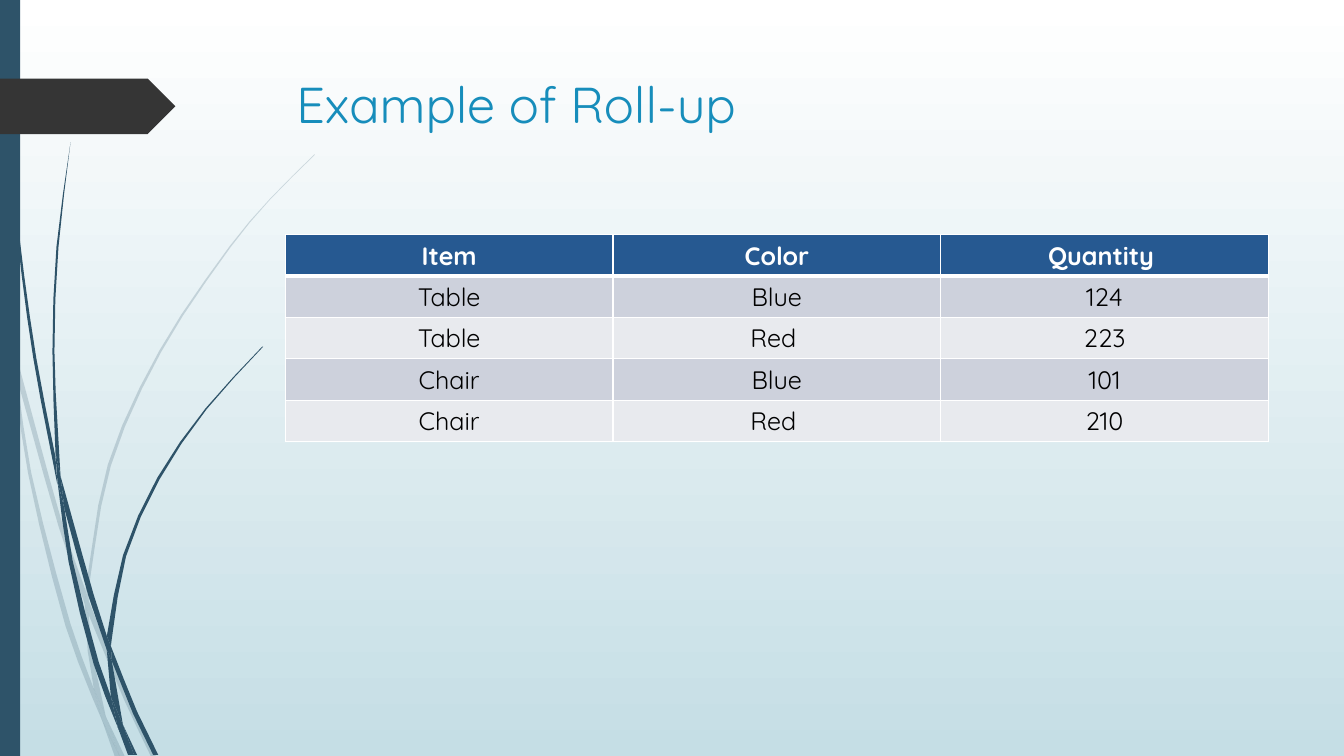
"""Build the roll-up example slide on a grid of 1333 columns by 750 rows."""
from dataclasses import dataclass
from math import ceil, dist

from lxml import etree
from pptx import Presentation
from pptx.dml.color import RGBColor
from pptx.enum.shapes import MSO_SHAPE
from pptx.enum.text import MSO_ANCHOR, PP_ALIGN
from pptx.oxml.ns import qn
from pptx.util import Emu, Inches, Pt

RECTANGLE, PENTAGON = MSO_SHAPE.RECTANGLE, MSO_SHAPE.PENTAGON
LEFT, CENTER, TOP = PP_ALIGN.LEFT, PP_ALIGN.CENTER, MSO_ANCHOR.TOP
COLUMNS, ROWS = 1333, 750
UNIT = Inches(0.01)
LONGEST_STEP = 60

Node = tuple[float, float]
Edge = tuple[Node, ...]


@dataclass(frozen=True)
class Theme:
    font: str = "Quicksand"
    title_size: int = 36
    table_size: int = 18
    sky_top: str = "FFFFFF"
    sky_bottom: str = "C5DEE5"
    grass: str = "2E5369"
    arrow: str = "353535"
    title: str = "178DBB"
    header_fill: str = "265991"
    header_text: str = "FFFFFF"
    body_text: str = "000000"
    bands: tuple[str, str] = ("CDD1DC", "E8EAEE")
    rule: str = "FFFFFF"
    thin: int = 1
    thick: int = 3
    faint_percent: int = 20


@dataclass(frozen=True)
class Area:
    column: int
    row: int
    columns: int
    rows: int

    def emu(self) -> tuple[Emu, ...]:
        return tuple(Emu(n * UNIT) for n in (self.column, self.row, self.columns, self.rows))


@dataclass(frozen=True)
class Blade:
    outward: Edge
    back: Edge


THEME = Theme()
SIDEBAR = Area(0, 0, 20, ROWS)
ARROW = Area(0, 78, 174, 55)
TITLE = Area(284, 68, 975, 140)
TABLE = Area(283, 233, 975, 205)
RECORDS = (
    ("Item", "Color", "Quantity "),
    ("Table", "Blue", "124"),
    ("Table", "Red ", "223"),
    ("Chair", "Blue", "101"),
    ("Chair", "Red ", "210"),
)
FAINT_BLADES = (
    Blade(((0, 282), (9, 322), (11, 350)), ((10, 344), (0, 299))),
    Blade(((14, 345), (62, 520), (85, 586)), ((84, 599), (58, 522), (17, 376))),
    Blade(((88, 596), (127, 692), (155, 751)), ((150, 751), (123, 694), (88, 610))),
    Blade(((105, 711), (124, 751)), ((119, 751),)),
    Blade(((11, 350), (28, 470), (65, 621), (92, 693), (101, 714)),
          ((93, 683), (70, 619), (31, 469), (17, 376))),
    Blade(((84, 599), (87, 646), (93, 683), (105, 711)), ((91, 646), (88, 610))),
    Blade(((88, 596), (88, 584), (110, 462), (160, 349), (229, 245), (268, 198), (312, 154)),
          ((312, 153), (268, 197), (228, 244), (158, 348), (107, 461), (85, 584))),
    Blade(((101, 714), (114, 751)), ((119, 751),)),
    Blade(((85, 586), (88, 596), (88, 610)), ((84, 599),)),
    Blade(((93, 683), (101, 714), (119, 751)), ((105, 711),)),
)
DARK_BLADES = (
    Blade(((3, 0), (7, 110), (17, 233), (33, 355), (57, 481)),
          ((55, 453), (36, 355), (19, 232), (8, 109), (4, 0))),
    Blade(((60, 472), (93, 590), (106, 631)), ((106, 645), (88, 592), (64, 505))),
    Blade(((110, 641), (136, 706), (157, 749)), ((152, 749), (132, 708), (111, 656))),
    Blade(((57, 477), (68, 557), (93, 659), (117, 722)),
          ((110, 691), (98, 657), (72, 556), (64, 505))),
    Blade(((60, 472), (54, 349), (58, 245), (70, 141)),
          ((70, 141), (56, 245), (52, 349), (55, 449))),
    Blade(((122, 719), (136, 749)), ((133, 749),)),
    Blade(((55, 449), (60, 472), (64, 505)), ((57, 477),)),
    Blade(((110, 641), (111, 633), (125, 552), (158, 476), (205, 406), (261, 344)),
          ((260, 344), (204, 405), (156, 474), (122, 551), (106, 631))),
    Blade(((117, 722), (127, 749)), ((131, 749),)),
    Blade(((106, 645), (110, 691), (122, 719)), ((111, 656),)),
    Blade(((106, 631), (110, 641), (111, 656)), ((106, 645),)),
    Blade(((110, 691), (117, 722), (130, 749)), ((133, 749), (122, 719))),
)


def smooth(edge: Edge) -> list[Node]:
    """Run a cubic curve through the nodes, with tangents weighted by chord length."""
    tangents = []
    for index in range(len(edge)):
        near = edge[max(index - 1, 0):index + 2]
        length = sum(dist(a, b) for a, b in zip(near, near[1:])) or 1
        tangents.append(tuple((end - start) / length for start, end in zip(near[0], near[-1])))
    points = [edge[0]]
    for index, (start, end) in enumerate(zip(edge, edge[1:])):
        chord = dist(start, end)
        steps = ceil(chord / LONGEST_STEP)
        for step in range(1, steps + 1):
            t = step / steps
            blend = 3 * t**2 - 2 * t**3
            leave, arrive = chord * t * (1 - t)**2, chord * t**2 * (t - 1)
            points.append(tuple(
                a + (b - a) * blend + m * leave + n * arrive
                for a, b, m, n in zip(start, end, tangents[index], tangents[index + 1])))
    return points


def paint(shape, color: str, percent: int = 100) -> None:
    """Give a shape a plain fill without line or shadow."""
    shape.shadow.inherit = False
    shape.line.fill.background()
    shape.fill.solid()
    shape.fill.fore_color.rgb = RGBColor.from_string(color)
    if percent < 100:
        tint = shape.fill._xPr.find(".//" + qn("a:srgbClr"))
        etree.SubElement(tint, qn("a:alpha"), val=str(percent * 1000))


def draw_blade(page, blade: Blade, percent: int = 100) -> None:
    """Draw one piece of grass between its two edges."""
    outline = [(x * UNIT, y * UNIT) for x, y in smooth(blade.outward) + smooth(blade.back)]
    builder = page.shapes.build_freeform(*outline[0], scale=1.0)
    builder.add_line_segments(outline[1:], close=True)
    paint(builder.convert_to_shape(), THEME.grass, percent)


def write(frame, text: str, *, size: int, color: str, bold: bool = False, align=LEFT) -> None:
    """Put one formatted paragraph into a text frame."""
    para = frame.paragraphs[0]
    para.alignment = align
    span = para.add_run()
    span.text = text
    span.font.name, span.font.size, span.font.bold = THEME.font, Pt(size), bold
    span.font.color.rgb = RGBColor.from_string(color)


def rule_cell(cell, top: int, bottom: int) -> None:
    """Rule the four sides of a cell."""
    properties = cell._tc.get_or_add_tcPr()
    for side, width in (("L", THEME.thin), ("R", THEME.thin), ("T", top), ("B", bottom)):
        line = etree.SubElement(properties, qn(f"a:ln{side}"), w=str(Pt(width)))
        fill = etree.SubElement(line, qn("a:solidFill"))
        etree.SubElement(fill, qn("a:srgbClr"), val=THEME.rule)


def draw_table(page, area: Area, records: tuple[tuple[str, ...], ...]) -> None:
    """Draw the records as a table with a header row and banded body."""
    table = page.shapes.add_table(len(records), len(records[0]), *area.emu()).table
    for row, record in enumerate(records):
        header = row == 0
        fill = THEME.header_fill if header else THEME.bands[(row - 1) % 2]
        for column, text in enumerate(record):
            cell = table.cell(row, column)
            rule_cell(cell, THEME.thick if row == 1 else THEME.thin,
                      THEME.thick if header else THEME.thin)
            cell.fill.solid()
            cell.fill.fore_color.rgb = RGBColor.from_string(fill)
            write(cell.text_frame, text, size=THEME.table_size, bold=header, align=CENTER,
                  color=THEME.header_text if header else THEME.body_text)


def main() -> None:
    """Assemble the slide and save it."""
    deck = Presentation()
    deck.slide_width, deck.slide_height = Emu(COLUMNS * UNIT), Emu(ROWS * UNIT)
    page = deck.slides.add_slide(deck.slide_layouts[6])
    sky = page.background.fill
    sky.gradient()
    sky.gradient_angle = 270
    for stop, color in zip(sky.gradient_stops, (THEME.sky_top, THEME.sky_bottom)):
        stop.color.rgb = RGBColor.from_string(color)
    for blades, percent in ((FAINT_BLADES, THEME.faint_percent), (DARK_BLADES, 100)):
        for blade in blades:
            draw_blade(page, blade, percent)
    for kind, area, color in ((RECTANGLE, SIDEBAR, THEME.grass), (PENTAGON, ARROW, THEME.arrow)):
        paint(page.shapes.add_shape(kind, *area.emu()), color)
    box = page.shapes.add_textbox(*TITLE.emu())
    box.text_frame.word_wrap = True
    box.text_frame.vertical_anchor = TOP
    write(box.text_frame, "Example of Roll-up", size=THEME.title_size, color=THEME.title)
    draw_table(page, TABLE, RECORDS)
    deck.save("out.pptx")


if __name__ == "__main__":
    main()
